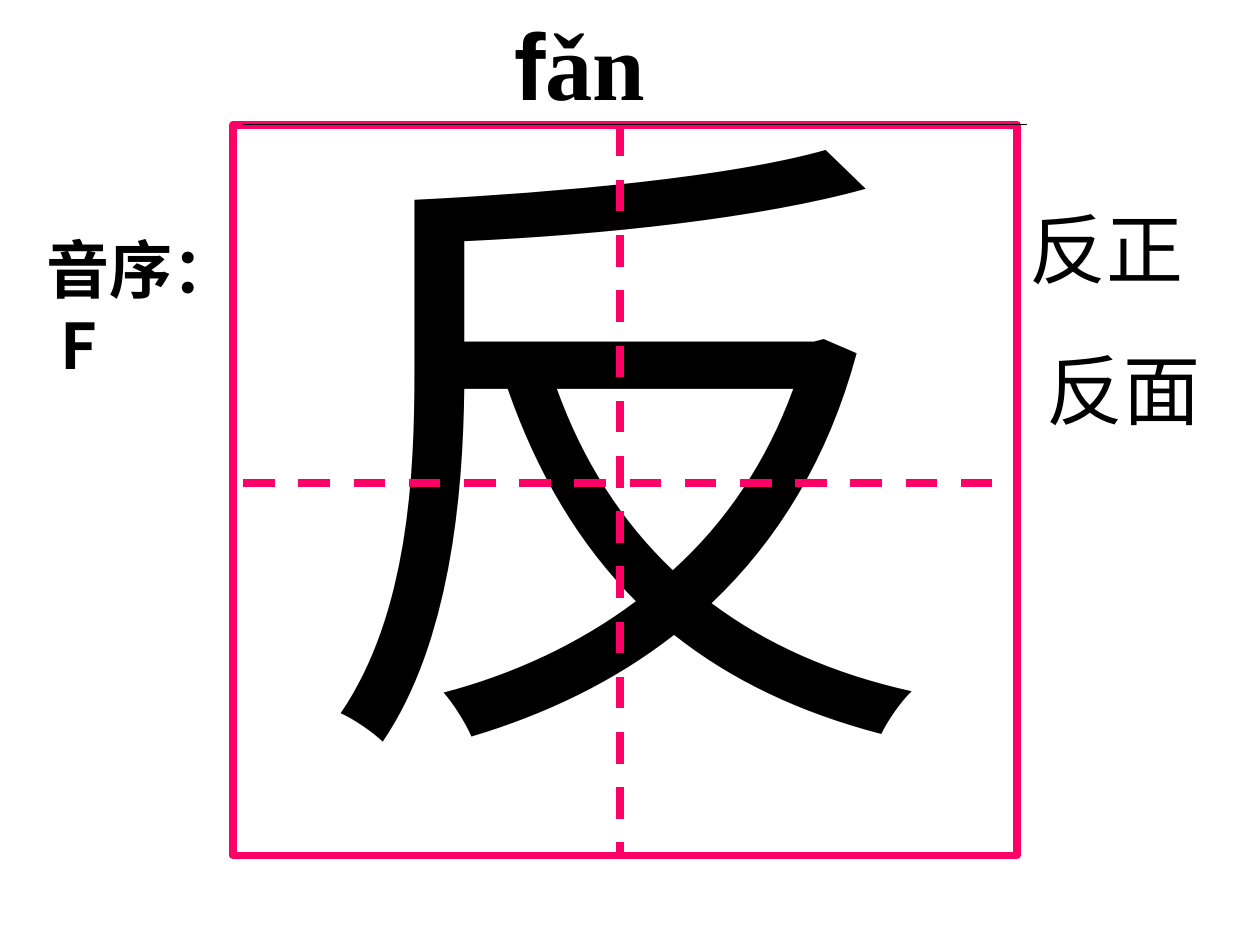
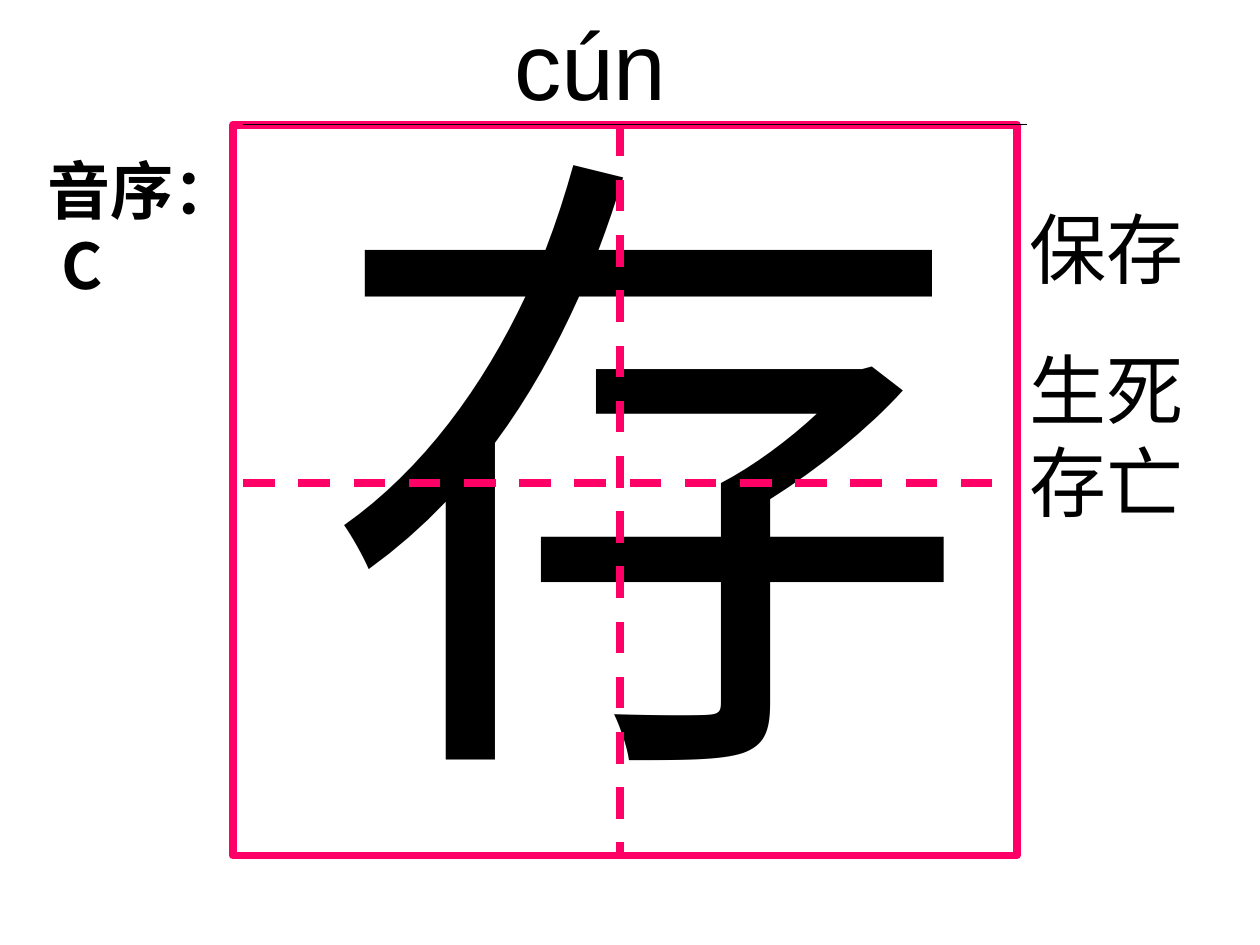
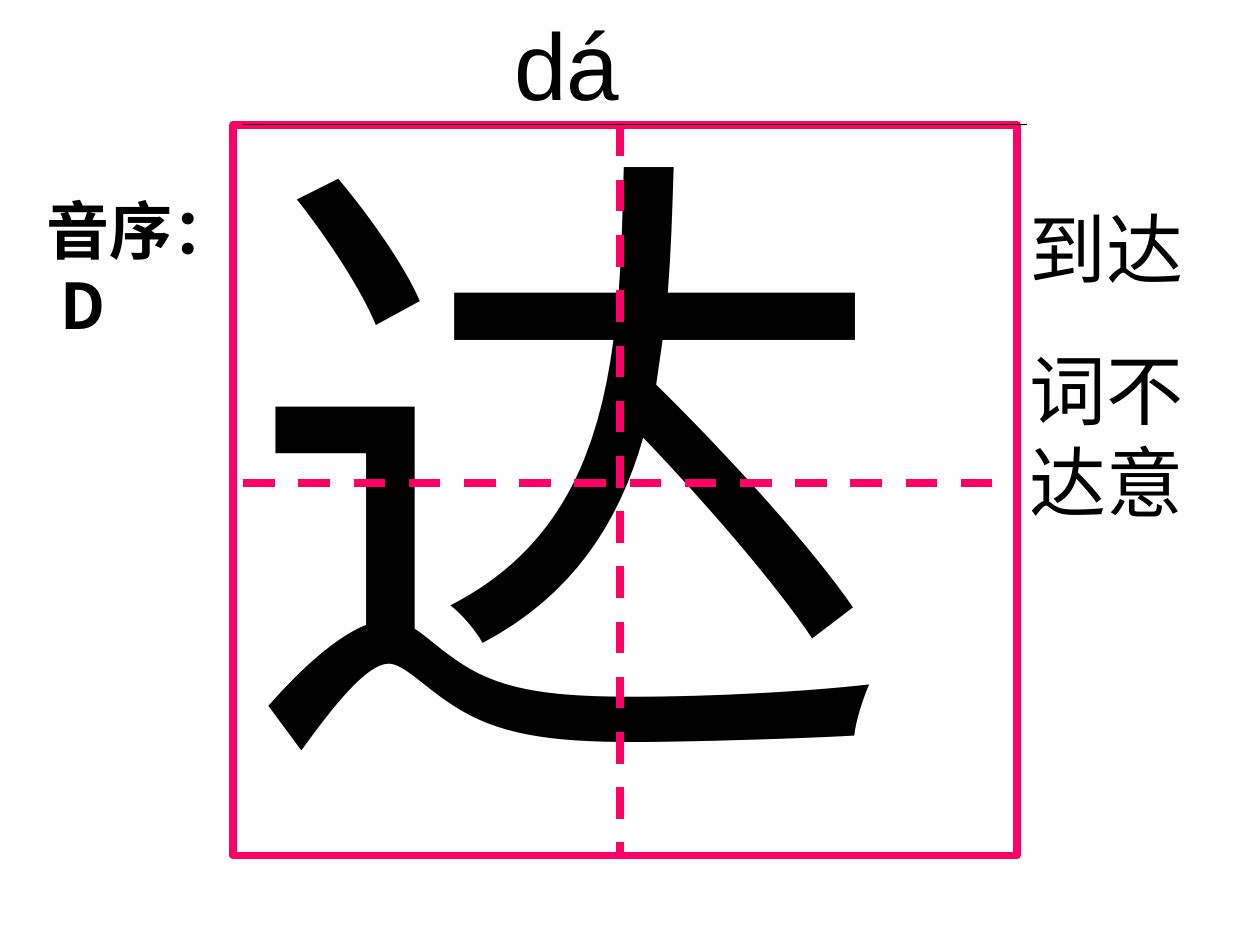
import pptx
import pptx.dml.color
import pptx.enum.dml
import pptx.enum.shapes
import pptx.enum.text
import pptx.oxml.ns
import pptx.util
from lxml import etree

Inches = pptx.util.Inches
Pt = pptx.util.Pt
qn = pptx.oxml.ns.qn
AutoSize = pptx.enum.text.MSO_AUTO_SIZE
Anchor = pptx.enum.text.MSO_ANCHOR

BLACK = pptx.dml.color.RGBColor(0x00, 0x00, 0x00)
PINK = pptx.dml.color.RGBColor(0xFF, 0x00, 0x66)
ARIAL, TIMES, NOTO = "Arial", "Times New Roman", "Noto Sans CJK SC"

GRID_LEFT, GRID_TOP, GRID_WIDTH, GRID_HEIGHT = 1.85, 0.99, 6.22, 5.8
GRID_BOTTOM = GRID_TOP + GRID_HEIGHT
GRID_RIGHT = GRID_LEFT + GRID_WIDTH

# label: left, top, width, wrap, font of its first line
CARDS = [
    dict(char="反", char_at=(2.33, 0.28),
         pinyin=[("f", ARIAL), ("ǎn", TIMES)], bold=True,
         words=["反正", " 反面"], words_height=3.8,
         letter="F", label=(0.27, 1.78, 1.24, True, TIMES)),
    dict(char="存", char_at=(2.48, 0.44),
         pinyin=[("cún", ARIAL)], bold=False,
         words=["保存", "生死存亡"], words_height=2.68,
         letter="C", label=(0.28, 1.15, 1.7, False, TIMES)),
    dict(char="达", char_at=(1.85, 0.44),
         pinyin=[("dá", ARIAL)], bold=False,
         words=["到达", "词不达意"], words_height=2.68,
         letter="D", label=(0.27, 1.47, 1.4, True, NOTO)),
]


class CardDeck:
    def __init__(self):
        self.prs = pptx.Presentation()
        self.prs.slide_width = Inches(10)
        self.prs.slide_height = Inches(7.5)
        self.s = None

    def new_slide(self):
        self.s = self.prs.slides.add_slide(self.prs.slide_layouts[1])

    def style(self, r, font, size, bold=False):
        r.font.name = font
        r.font.size = Pt(size)
        r.font.bold = bold
        r.font.color.rgb = BLACK

    def place(self, sp, left, top, width, height):
        sp.left, sp.top = Inches(left), Inches(top)
        sp.width, sp.height = Inches(width), Inches(height)

    def pinyin(self, parts, bold):
        sp = self.s.shapes.title
        self.place(sp, 3.98, 0, 3.86, 1)
        tf = sp.text_frame
        tf.auto_size = AutoSize.NONE
        tf.vertical_anchor = Anchor.BOTTOM
        p = tf.paragraphs[0]
        p.alignment = pptx.enum.text.PP_ALIGN.LEFT
        for text, font in parts:
            r = p.add_run()
            r.text = text
            self.style(r, font, 54, bold)

    def words(self, lines, height):
        sp = self.s.placeholders[1]
        self.place(sp, GRID_RIGHT, 1.55, 1.69, height)
        tf = sp.text_frame
        tf.text = "\n".join(lines)
        tf.auto_size = AutoSize.NONE
        tf.vertical_anchor = Anchor.TOP
        for i, p in enumerate(tf.paragraphs):
            pPr = p._p.get_or_add_pPr()
            pPr.set("marL", "0")
            pPr.set("indent", "0")
            etree.SubElement(pPr, qn("a:buNone"))
            p.space_before = Pt(27.5 if i else 0)
            self.style(p.runs[0], ARIAL, 44)

    def text_box(self, box, lines, fonts, size, bold=False, wrap=True):
        sp = self.s.shapes.add_textbox(*map(Inches, box))
        tf = sp.text_frame
        tf.text = "\n".join(lines)
        tf.word_wrap = wrap
        tf.auto_size = AutoSize.SHAPE_TO_FIT_TEXT
        for p, font in zip(tf.paragraphs, fonts):
            self.style(p.runs[0], font, size, bold)

    def line(self, shapes, start, end, color, width, dashed=False):
        sp = shapes.add_connector(pptx.enum.shapes.MSO_CONNECTOR.STRAIGHT,
                                  *map(Inches, start + end))
        sp.line.color.rgb = color
        sp.line.width = Pt(width)
        if dashed:
            sp.line.dash_style = pptx.enum.dml.MSO_LINE.DASH
        etree.SubElement(sp._element.spPr, qn("a:effectLst"))

    def writing_grid(self):
        """Square frame with dashed centre guides and a thin top rule."""
        sp = self.s.shapes.add_shape(
            pptx.enum.shapes.MSO_SHAPE.RECTANGLE,
            *map(Inches, (GRID_LEFT, GRID_TOP, GRID_WIDTH, GRID_HEIGHT)))
        sp.shadow.inherit = False
        sp.fill.background()
        sp.line.color.rgb = PINK
        sp.line.width = Pt(4.5)
        guides = self.s.shapes.add_group_shape().shapes
        self.line(guides, (1.93, 3.83), (GRID_RIGHT, 3.83), PINK, 4.5, True)
        self.line(guides, (4.92, GRID_TOP), (4.92, GRID_BOTTOM), PINK, 4.5, True)
        self.line(guides, (1.93, GRID_TOP), (8.15, GRID_TOP), BLACK, 0.75)

    def card(self, card):
        self.new_slide()
        self.pinyin(card["pinyin"], card["bold"])
        self.words(card["words"], card["words_height"])
        self.text_box(card["char_at"] + (5.34, 6.27), [card["char"]], [TIMES],
                      370, wrap=False)
        self.writing_grid()
        left, top, width, wrap, font = card["label"]
        self.text_box((left, top, width, 1.3), ["音序：", " " + card["letter"]],
                      [font, NOTO], 36, bold=True, wrap=wrap)


def main():
    deck = CardDeck()
    for card in CARDS:
        deck.card(card)
    deck.prs.save("out.pptx")


if __name__ == "__main__":
    main()
